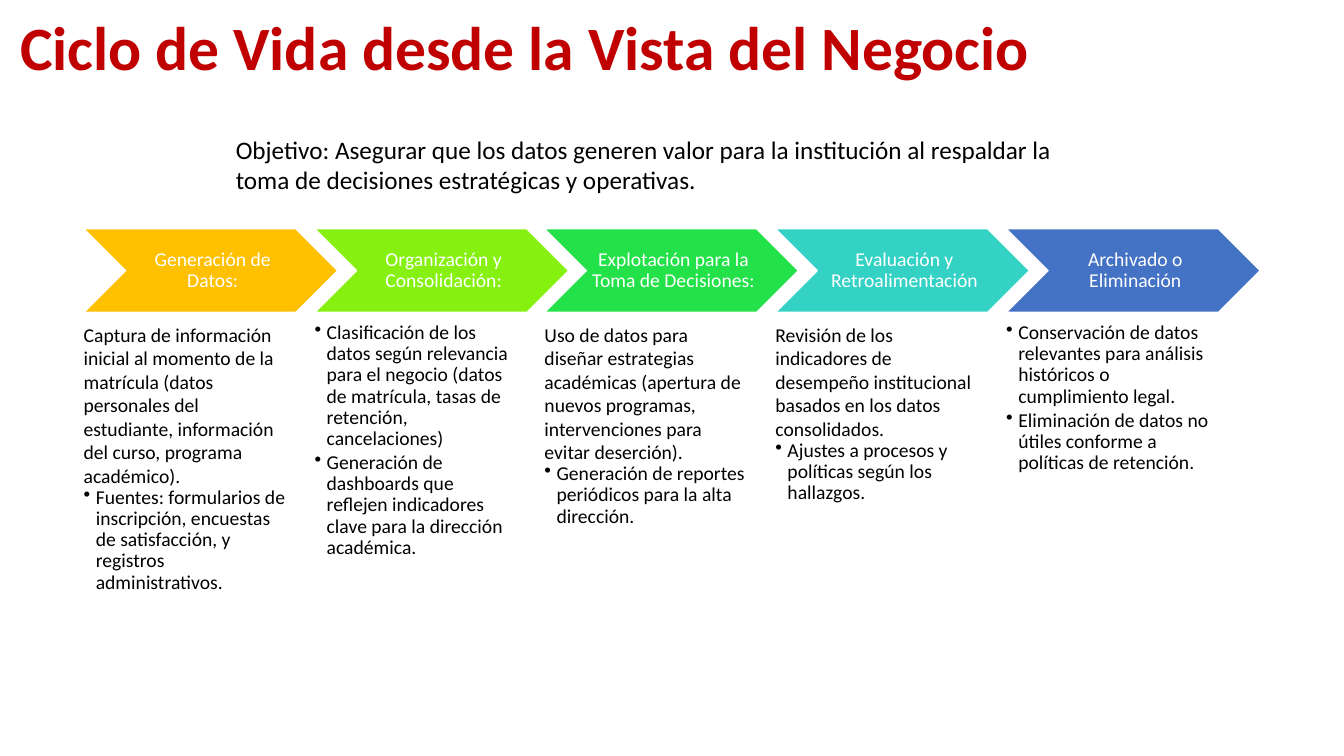
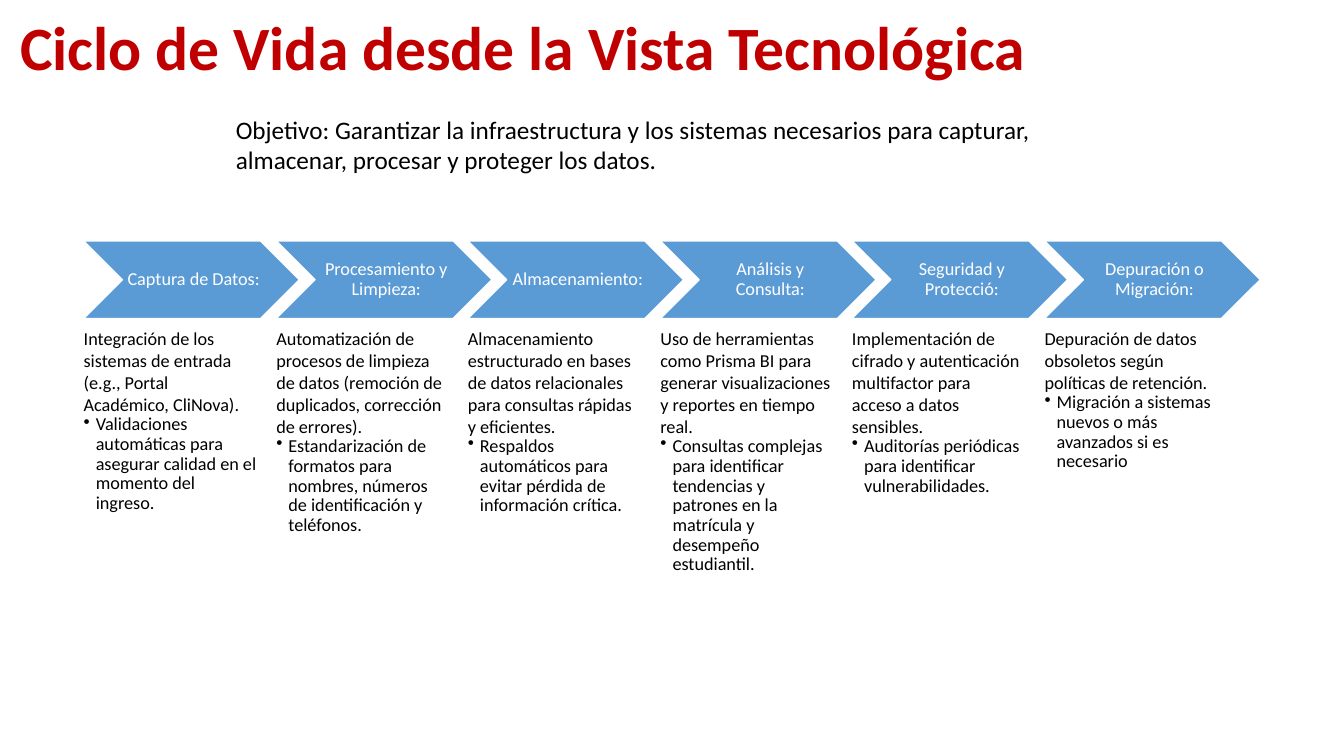
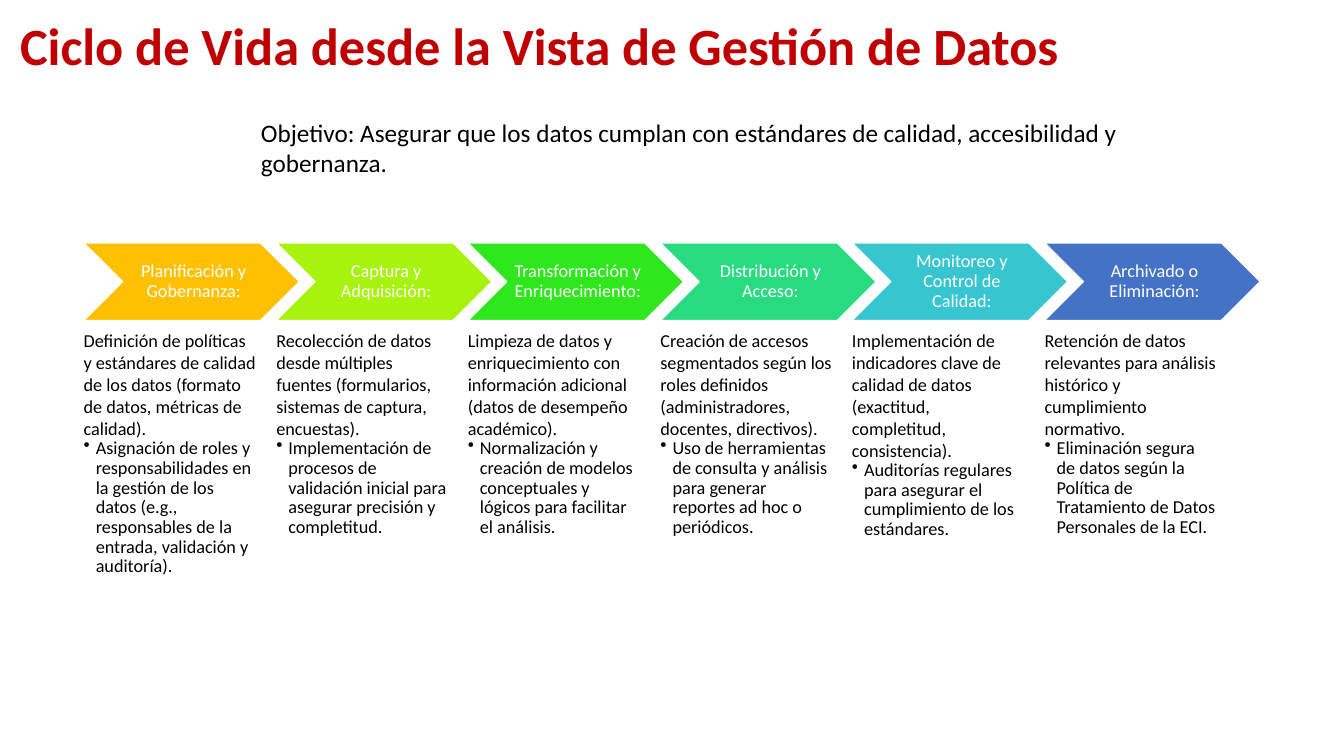
from dataclasses import dataclass
from typing import Any

import lxml.etree
import pptx
import pptx.dml.color
import pptx.enum.shapes
import pptx.enum.text
import pptx.oxml.ns
import pptx.util

EMU_PER_PX = 9144
SLIDE_WIDTH, SLIDE_HEIGHT = 1333, 750
ROW_LEFT, ROW_RIGHT = 83, 1250
BULLET_INDENT = 12
FONT = "Calibri"
TITLE_RED = "C00000"
BLACK = "000000"
WHITE = "FFFFFF"
BLUE = "5B9BD5"
AMBER = "FFC000"
NAVY = "4472C4"
BLANK_LAYOUT = 6


@dataclass(frozen=True)
class Stage:
    label: str
    color: str
    lead: str
    bullets: tuple[str, ...]


@dataclass(frozen=True)
class RowStyle:
    chevron_width: int
    chevron_height: int
    detail_gap: int
    text_size: int


@dataclass(frozen=True)
class LifeCycle:
    title: str
    objective: str
    objective_left: int
    objective_top: int
    row_top: int
    detail_height: int
    style: RowStyle
    stages: tuple[Stage, ...]
    title_size: float = 44
    title_spacing: float = 0.9


FIVE_STAGES = RowStyle(252, 83, 10, 14)
SIX_STAGES = RowStyle(214, 77, 9, 13)

BUSINESS = LifeCycle(
    "Ciclo de Vida desde la Vista del Negocio",
    "Objetivo: Asegurar que los datos generen valor para la institución al respaldar la "
    "toma de decisiones estratégicas y operativas.",
    224, 128, 227, 282, FIVE_STAGES,
    (
        Stage("Generación de Datos:", AMBER,
              "Captura de información inicial al momento de la matrícula (datos personales del "
              "estudiante, información del curso, programa académico).",
              ("Fuentes: formularios de inscripción, encuestas de satisfacción, y registros "
               "administrativos.",)),
        Stage("Organización y Consolidación:", "86F011", "",
              ("Clasificación de los datos según relevancia para el negocio (datos de matrícula, "
               "tasas de retención, cancelaciones)",
               "Generación de dashboards que reflejen indicadores clave para la dirección "
               "académica.")),
        Stage("Explotación para la Toma de Decisiones:", "23E148",
              "Uso de datos para diseñar estrategias académicas (apertura de nuevos programas, "
              "intervenciones para evitar deserción).",
              ("Generación de reportes periódicos para la alta dirección.",)),
        Stage("Evaluación y Retroalimentación", "33D2C5",
              "Revisión de los indicadores de desempeño institucional basados en los datos "
              "consolidados.",
              ("Ajustes a procesos y políticas según los hallazgos.",)),
        Stage("Archivado o Eliminación", NAVY, "",
              ("Conservación de datos relevantes para análisis históricos o cumplimiento legal.",
               "Eliminación de datos no útiles conforme a políticas de retención.")),
    ),
)

TECHNOLOGY = LifeCycle(
    "Ciclo de Vida desde la Vista Tecnológica",
    "Objetivo: Garantizar la infraestructura y los sistemas necesarios para capturar, "
    "almacenar, procesar y proteger los datos.",
    224, 108, 239, 266, SIX_STAGES,
    (
        Stage("Captura de Datos:", BLUE,
              "Integración de los sistemas de entrada (e.g., Portal Académico, CliNova).",
              ("Validaciones automáticas para asegurar calidad en el momento del ingreso.",)),
        Stage("Procesamiento y Limpieza:", BLUE,
              "Automatización de procesos de limpieza de datos (remoción de duplicados, "
              "corrección de errores).",
              ("Estandarización de formatos para nombres, números de identificación y "
               "teléfonos.",)),
        Stage("Almacenamiento:", BLUE,
              "Almacenamiento estructurado en bases de datos relacionales para consultas rápidas "
              "y eficientes.",
              ("Respaldos automáticos para evitar pérdida de información crítica.",)),
        Stage("Análisis y Consulta:", BLUE,
              "Uso de herramientas como Prisma BI para generar visualizaciones y reportes en "
              "tiempo real.",
              ("Consultas complejas para identificar tendencias y patrones en la matrícula y "
               "desempeño estudiantil.",)),
        Stage("Seguridad y Protecció:", BLUE,
              "Implementación de cifrado y autenticación multifactor para acceso a datos "
              "sensibles.",
              ("Auditorías periódicas para identificar vulnerabilidades.",)),
        Stage("Depuración o Migración:", BLUE,
              "Depuración de datos obsoletos según políticas de retención.",
              ("Migración a sistemas nuevos o más avanzados si es necesario",)),
    ),
)

DATA_MANAGEMENT = LifeCycle(
    "Ciclo de Vida desde la Vista de Gestión de Datos",
    "Objetivo: Asegurar que los datos cumplan con estándares de calidad, accesibilidad y "
    "gobernanza.",
    249, 111, 241, 262, SIX_STAGES,
    (
        Stage("Planificación y Gobernanza:", AMBER,
              "Definición de políticas y estándares de calidad de los datos (formato de datos, "
              "métricas de calidad).",
              ("Asignación de roles y responsabilidades en la gestión de los datos (e.g., "
               "responsables de la entrada, validación y auditoría).",)),
        Stage("Captura y Adquisición:", "A7F30E",
              "Recolección de datos desde múltiples fuentes (formularios, sistemas de captura, "
              "encuestas).",
              ("Implementación de procesos de validación inicial para asegurar precisión y "
               "completitud.",)),
        Stage("Transformación y Enriquecimiento:", "2EE71C",
              "Limpieza de datos y enriquecimiento con información adicional (datos de desempeño "
              "académico).",
              ("Normalización y creación de modelos conceptuales y lógicos para facilitar el "
               "análisis.",)),
        Stage("Distribución y Acceso:", "29DB80",
              "Creación de accesos segmentados según los roles definidos (administradores, "
              "docentes, directivos).",
              ("Uso de herramientas de consulta y análisis para generar reportes ad hoc o "
               "periódicos.",)),
        Stage("Monitoreo y Control de Calidad:", "37C6CF",
              "Implementación de indicadores clave de calidad de datos (exactitud, completitud, "
              "consistencia).",
              ("Auditorías regulares para asegurar el cumplimiento de los estándares.",)),
        Stage("Archivado o Eliminación:", NAVY,
              "Retención de datos relevantes para análisis histórico y cumplimiento normativo.",
              ("Eliminación segura de datos según la Política de Tratamiento de Datos Personales "
               "de la ECI.",)),
    ),
    title_size=37.4,
    title_spacing=0.8,
)


def px(length: int) -> pptx.util.Emu:
    return pptx.util.Emu(length * EMU_PER_PX)


def rgb(color: str) -> pptx.dml.color.RGBColor:
    return pptx.dml.color.RGBColor.from_string(color)


def write(paragraph: Any, text: str, size: float, color: str,
          spacing: float = 1.0, bold: bool = False) -> None:
    paragraph.text = text
    paragraph.line_spacing = spacing
    for run in paragraph.runs:
        run.font.name = FONT
        run.font.size = pptx.util.Pt(size)
        run.font.bold = bold
        run.font.color.rgb = rgb(color)


def set_margins(frame: Any, left: int, top: int, right: int, bottom: int) -> None:
    frame.margin_left, frame.margin_top = px(left), px(top)
    frame.margin_right, frame.margin_bottom = px(right), px(bottom)


def add_frame(slide: Any, left: int, top: int, width: int, height: int) -> Any:
    frame = slide.shapes.add_textbox(px(left), px(top), px(width), px(height)).text_frame
    frame.word_wrap = True
    return frame


def add_bullet(paragraph: Any) -> None:
    properties = paragraph._p.get_or_add_pPr()
    properties.set("marL", str(px(BULLET_INDENT)))
    properties.set("indent", str(px(-BULLET_INDENT)))
    mark = lxml.etree.SubElement(properties, pptx.oxml.ns.qn("a:buChar"))
    mark.set("char", "•")


def draw_chevron(slide: Any, stage: Stage, left: int, top: int, style: RowStyle) -> None:
    chevron = slide.shapes.add_shape(
        pptx.enum.shapes.MSO_SHAPE.CHEVRON,
        px(left), px(top), px(style.chevron_width), px(style.chevron_height))
    chevron.shadow.inherit = False
    chevron.fill.solid()
    chevron.fill.fore_color.rgb = rgb(stage.color)
    chevron.line.color.rgb = rgb(WHITE)
    chevron.line.width = pptx.util.Pt(1)
    frame = chevron.text_frame
    frame.word_wrap = True
    frame.vertical_anchor = pptx.enum.text.MSO_ANCHOR.MIDDLE
    set_margins(frame, 4, 2, 0, 2)
    label = frame.paragraphs[0]
    label.alignment = pptx.enum.text.PP_ALIGN.CENTER
    write(label, stage.label, style.text_size, WHITE, 0.9)


def draw_details(slide: Any, stage: Stage, left: int, top: int, height: int,
                 style: RowStyle) -> None:
    frame = add_frame(slide, left, top, round(style.chevron_width * 0.8), height)
    set_margins(frame, 0, 0, 0, 0)
    paragraph = frame.paragraphs[0]
    if stage.lead:
        write(paragraph, stage.lead, style.text_size, BLACK)
        paragraph = frame.add_paragraph()
    for index, bullet in enumerate(stage.bullets):
        if index:
            paragraph = frame.add_paragraph()
        add_bullet(paragraph)
        write(paragraph, bullet, style.text_size, BLACK, 0.9)
        paragraph.space_after = pptx.util.Pt(0.15 * style.text_size)


def draw_life_cycle(slide: Any, cycle: LifeCycle) -> None:
    heading = add_frame(slide, 10, 11, 1079, 79)
    heading.vertical_anchor = pptx.enum.text.MSO_ANCHOR.MIDDLE
    write(heading.paragraphs[0], cycle.title, cycle.title_size, TITLE_RED,
          cycle.title_spacing, bold=True)

    objective = add_frame(slide, cycle.objective_left, cycle.objective_top, 869, 71)
    write(objective.paragraphs[0], cycle.objective, 18, BLACK)

    style = cycle.style
    pitch = (ROW_RIGHT - ROW_LEFT - style.chevron_width) / (len(cycle.stages) - 1)
    detail_top = cycle.row_top + style.chevron_height + style.detail_gap
    for index, stage in enumerate(cycle.stages):
        left = round(ROW_LEFT + index * pitch)
        draw_chevron(slide, stage, left, cycle.row_top, style)
        draw_details(slide, stage, left, detail_top, cycle.detail_height, style)


def main() -> None:
    deck = pptx.Presentation()
    deck.slide_width, deck.slide_height = px(SLIDE_WIDTH), px(SLIDE_HEIGHT)
    for cycle in (BUSINESS, TECHNOLOGY, DATA_MANAGEMENT):
        draw_life_cycle(deck.slides.add_slide(deck.slide_layouts[BLANK_LAYOUT]), cycle)
    deck.save("out.pptx")


if __name__ == "__main__":
    main()
